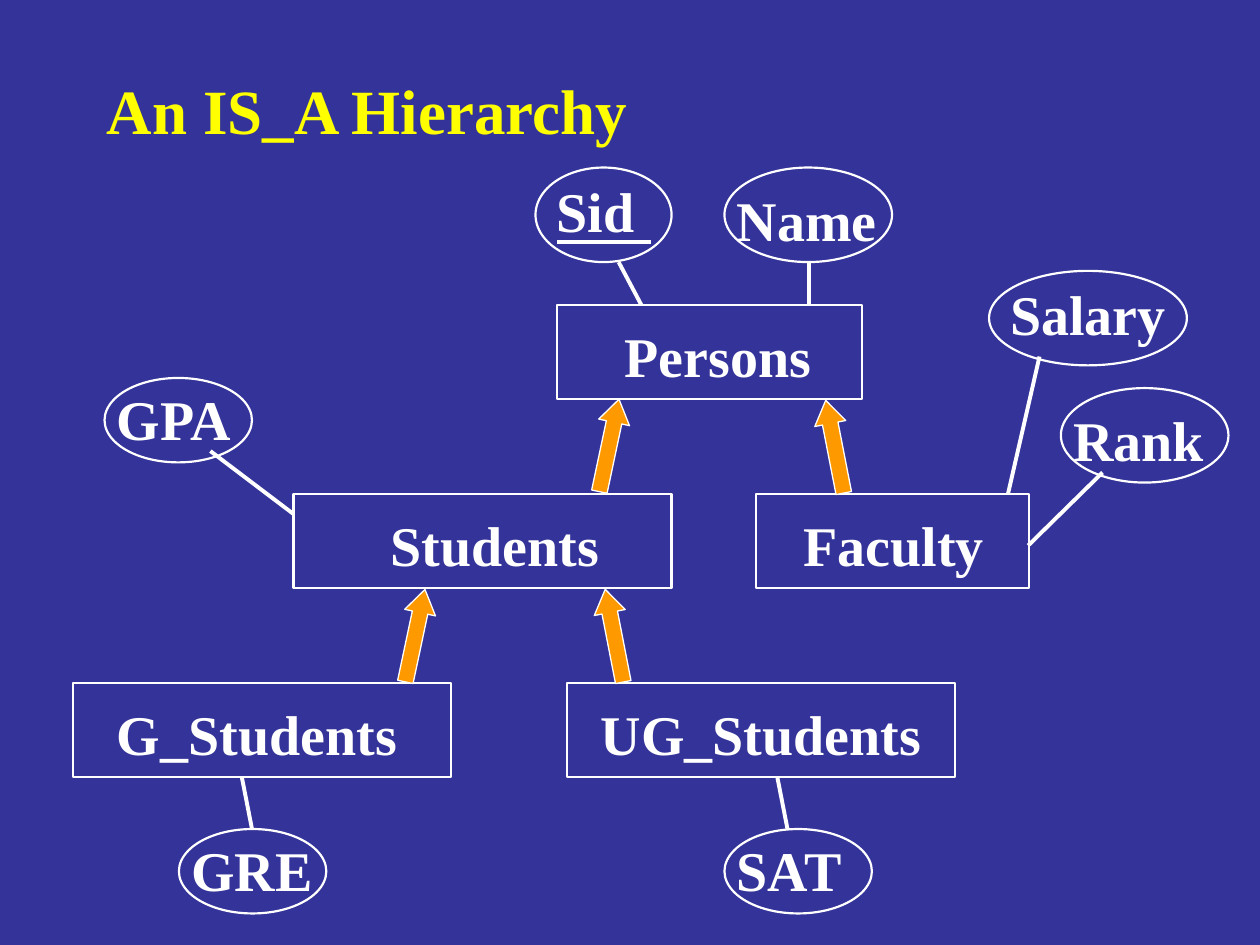
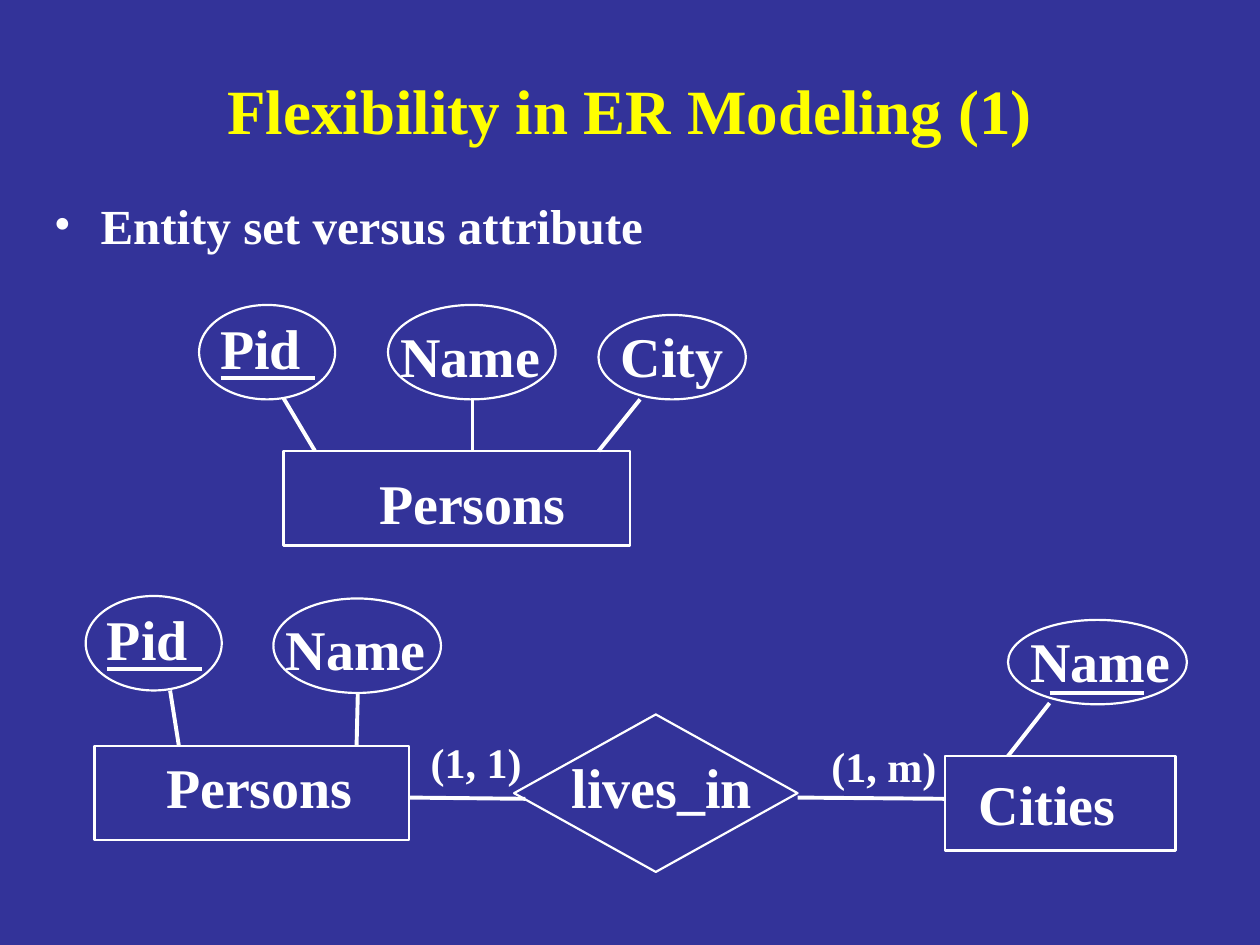
from dataclasses import dataclass

from lxml import etree
from pptx import Presentation
from pptx.dml.color import RGBColor
from pptx.enum import shapes, text
from pptx.oxml import ns
from pptx.util import Inches, Pt


@dataclass(frozen=True)
class Theme:
    font: str = "Times New Roman"
    back: RGBColor = RGBColor(0x33, 0x33, 0x99)
    title: RGBColor = RGBColor(0xFF, 0xFF, 0x00)
    ink: RGBColor = RGBColor(0xFF, 0xFF, 0xFF)
    arrow: RGBColor = RGBColor(0xFF, 0x99, 0x00)
    title_size: Pt = Pt(36)
    body_size: Pt = Pt(28)
    label_size: Pt = Pt(32)
    ratio_size: Pt = Pt(24)
    outline: Pt = Pt(1.25)
    link: Pt = Pt(2.25)
    arrow_outline: Pt = Pt(0.75)


theme = Theme()


def add_text(slide, words, box, size, color=theme.ink, wrap=False):
    tf = slide.shapes.add_textbox(*map(Inches, box)).text_frame
    tf.word_wrap = wrap
    if not wrap:
        tf.margin_right = 0
    p = tf.paragraphs[0]
    p.text = words
    p.font.name, p.font.size, p.font.bold = theme.font, size, True
    p.font.color.rgb = color
    return tf


def add_outline(slide, kind, box, width):
    sp = slide.shapes.add_shape(kind, *map(Inches, box))
    sp.shadow.inherit = False
    sp.fill.background()
    sp.line.color.rgb, sp.line.width = theme.ink, width
    return sp


RECT = shapes.MSO_SHAPE.RECTANGLE
OVAL = shapes.MSO_SHAPE.OVAL
DIAMOND = shapes.MSO_SHAPE.DIAMOND

hierarchy = dict(
    title="An IS_A Hierarchy",
    align=text.PP_ALIGN.LEFT,
    bullets=[],
    nodes=[
        (RECT, (0.58, 5.42, 3, 0.75), "G_Students", (0.83, 5.5, 2.42)),
        (OVAL, (1.42, 6.58, 1.17, 0.67), "GRE", (1.42, 6.58, 1.16)),
        (RECT, (4.5, 5.42, 3.08, 0.75), "UG_Students", (4.67, 5.5, 2.74)),
        (OVAL, (5.75, 6.58, 1.17, 0.67), "SAT", (5.75, 6.58, 1.06)),
        (RECT, (2.33, 3.92, 3, 0.75), "Students", (3, 4, 1.86)),
        (OVAL, (4.25, 1.33, 1.08, 0.75), "Sid", (4.32, 1.35, 0.82)),
        (OVAL, (5.75, 1.33, 1.33, 0.75), "Name", (5.75, 1.42, 1.31)),
        (OVAL, (0.83, 3, 1.17, 0.67), "GPA", (0.83, 3, 1.14)),
        (RECT, (6, 3.92, 2.17, 0.75), "Faculty", (6.28, 4, 1.63)),
        (OVAL, (7.85, 2.15, 1.57, 0.75), "Salary", (7.92, 2.17, 1.43)),
        (OVAL, (8.42, 3.08, 1.33, 0.75), "Rank", (8.42, 3.17, 1.31)),
        (RECT, (4.42, 2.42, 2.42, 0.75), "Persons", (4.86, 2.5, 1.69)),
    ],
    key_underlines=[(4.42, 1.92)],
    links=[
        (1.92, 6.17, 2, 6.58),
        (6.17, 6.17, 6.25, 6.58),
        (5.09, 2.42, 4.91, 2.08),
        (6.42, 2.42, 6.42, 2.08),
        (1.67, 3.58, 2.33, 4.08),
        (8.25, 2.83, 8, 3.92),
        (8.75, 3.75, 8.16, 4.33),
    ],
    ratios=[],
    is_a_arrows=[(4.46, 3.41, 282), (2.92, 4.92, 282), (6.25, 3.42, 259), (4.5, 4.92, 259)],
)

flexibility = dict(
    title="Flexibility in ER Modeling (1)",
    align=text.PP_ALIGN.CENTER,
    bullets=["Entity set versus attribute"],
    nodes=[
        (RECT, (7.5, 6, 1.83, 0.75), "Cities", (7.67, 6.06, 1.29)),
        (RECT, (2.25, 3.58, 2.75, 0.75), "Persons", (2.91, 3.67, 1.68)),
        (OVAL, (1.58, 2.42, 1.08, 0.75), "Pid", (1.65, 2.44, 0.84)),
        (OVAL, (3.08, 2.42, 1.33, 0.75), "Name", (3.08, 2.5, 1.31)),
        (OVAL, (4.75, 2.5, 1.17, 0.67), "City", (4.83, 2.5, 1.01)),
        (RECT, (0.75, 5.92, 2.5, 0.75), "Persons", (1.22, 5.92, 1.68)),
        (OVAL, (0.68, 4.73, 1.08, 0.75), "Pid", (0.75, 4.75, 0.84)),
        (OVAL, (2.17, 4.75, 1.33, 0.75), "Name", (2.17, 4.83, 1.31)),
        (OVAL, (8, 4.92, 1.42, 0.67), "Name", (8.08, 4.92, 1.31)),
        (DIAMOND, (4.08, 5.67, 2.25, 1.25), "lives_in", (4.44, 5.92, 1.63)),
    ],
    key_underlines=[(1.75, 3), (0.85, 5.31), (8.33, 5.5)],
    links=[
        (2.5, 3.58, 2.25, 3.16),
        (3.75, 3.58, 3.75, 3.16),
        (5.08, 3.17, 4.75, 3.58),
        (1.42, 5.92, 1.35, 5.48),
        (2.83, 5.92, 2.84, 5.5),
        (8.33, 5.58, 8, 6),
        (3.25, 6.33, 4.17, 6.34),
        (6.33, 6.33, 7.5, 6.34),
    ],
    ratios=[("(1, 1)", (3.32, 5.8, 0.92)), ("(1, m)", (6.5, 5.83, 1.03))],
    is_a_arrows=[],
)

prs = Presentation()
prs.slide_width, prs.slide_height = Inches(10), Inches(7.5)
fill = prs.slide_master.background.fill
fill.solid()
fill.fore_color.rgb = theme.back

for page in (hierarchy, flexibility):
    slide = prs.slides.add_slide(prs.slide_layouts[6])

    tf = add_text(slide, page["title"], (0.75, 0.41, 8.5, 0.92), theme.title_size, theme.title, True)
    tf.vertical_anchor = text.MSO_ANCHOR.MIDDLE
    tf.paragraphs[0].alignment = page["align"]

    for bullet in page["bullets"]:
        tf = add_text(slide, bullet, (0.33, 1.5, 9.33, 5.67), theme.body_size, wrap=True)
        pPr = tf.paragraphs[0]._p.get_or_add_pPr()
        pPr.set("marL", str(Inches(0.37)))
        pPr.set("indent", str(Inches(-0.37)))
        for mark in (etree.Element(ns.qn("a:buFont"), typeface=theme.font),
                     etree.Element(ns.qn("a:buChar"), char="•")):
            pPr.insert_element_before(mark, "a:tabLst", "a:defRPr", "a:extLst")

    for kind, box, label, (left, top, width) in page["nodes"]:
        add_outline(slide, kind, box, theme.outline)
        add_text(slide, label, (left, top, width, 0.64), theme.label_size)

    underlines = [(x, y, x + 0.75, y) for x, y in page["key_underlines"]]
    for ends in page["links"] + underlines:
        line = slide.shapes.add_connector(shapes.MSO_CONNECTOR.STRAIGHT, *map(Inches, ends))
        line.line.color.rgb, line.line.width = theme.ink, theme.link
        etree.SubElement(line._element.spPr, ns.qn("a:effectLst"))

    for ratio, (left, top, width) in page["ratios"]:
        add_text(slide, ratio, (left, top, width, 0.5), theme.ratio_size)

    for left, top, angle in page["is_a_arrows"]:
        sp = add_outline(slide, shapes.MSO_SHAPE.RIGHT_ARROW, (left, top, 0.75, 0.25), theme.arrow_outline)
        sp.adjustments[0], sp.adjustments[1] = 0.5, 0.75
        sp.rotation = angle
        sp.fill.solid()
        sp.fill.fore_color.rgb = theme.arrow

prs.save("out.pptx")
